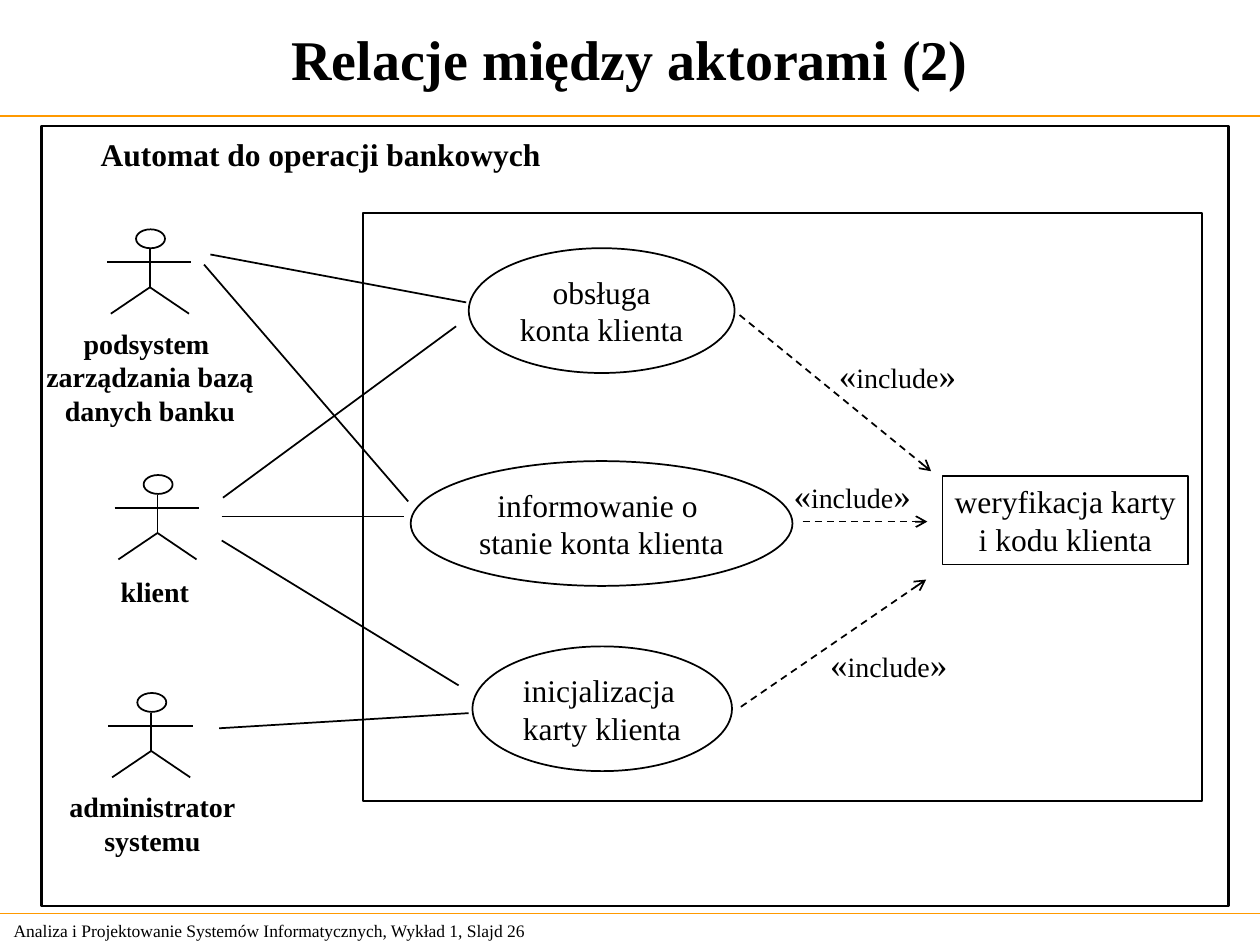
"""Build the use case slide about relations between actors."""
from typing import NamedTuple

from lxml.etree import SubElement
from pptx import Presentation
from pptx.dml.color import RGBColor
from pptx.enum.dml import MSO_LINE
from pptx.enum.shapes import MSO_CONNECTOR, MSO_SHAPE
from pptx.enum.text import MSO_ANCHOR, MSO_AUTO_SIZE, PP_ALIGN
from pptx.oxml.ns import qn
from pptx.util import Inches, Pt

FONT = "Times New Roman"
BLACK = "000000"
ORANGE = "FF9900"


class Area(NamedTuple):
    left: float
    top: float
    width: float
    height: float


class Line(NamedTuple):
    x1: float
    y1: float
    x2: float
    y2: float


class Label(NamedTuple):
    area: Area
    lines: list[str]
    size: float
    bold: bool = False
    align: PP_ALIGN = PP_ALIGN.CENTER


class Node(NamedTuple):
    preset: MSO_SHAPE
    label: Label


class Actor(NamedTuple):
    center: float
    top: float
    label: Label


FRAME = Area(0.33, 1, 9.42, 6.19)
SYSTEM = Area(2.88, 1.69, 6.66, 4.67)
HEADING = Label(Area(0.7, 1.02, 3.69, 0.4), ["Automat do operacji bankowych"],
                18, True, PP_ALIGN.LEFT)
FOOTER = Label(Area(0.01, 7.25, 4.75, 0.27),
               ["Analiza i Projektowanie Systemów Informatycznych, Wykład 1, Slajd 26"],
               10, False, PP_ALIGN.LEFT)
ACTORS = [
    Actor(1.19, 1.82, Label(Area(0.27, 2.54, 1.84, 0.9),
                            ["podsystem ", "zarządzania bazą", "danych banku"], 16, True)),
    Actor(1.25, 3.77, Label(Area(0.86, 4.51, 0.74, 0.36), ["klient"], 16, True, PP_ALIGN.LEFT)),
    Actor(1.2, 5.5, Label(Area(0.45, 6.22, 1.52, 0.63), ["administrator", "systemu"], 16, True)),
]
NODES = [
    Node(MSO_SHAPE.OVAL, Label(Area(3.72, 1.97, 2.11, 0.99), ["obsługa", "konta klienta"], 18)),
    Node(MSO_SHAPE.OVAL, Label(Area(3.26, 3.66, 3.03, 0.99),
                               ["informowanie o ", "stanie konta klienta"], 18)),
    Node(MSO_SHAPE.OVAL, Label(Area(3.75, 5.13, 2.06, 0.99),
                               ["inicjalizacja", "karty klienta"], 18, False, PP_ALIGN.LEFT)),
    Node(MSO_SHAPE.RECTANGLE, Label(Area(7.48, 3.78, 1.95, 0.7),
                                    ["weryfikacja karty", "i kodu klienta"], 18)),
]
ASSOCIATIONS = [
    Line(1.67, 2.02, 3.7, 2.4),
    Line(1.62, 2.1, 3.24, 3.98),
    Line(1.74, 5.78, 3.72, 5.66),
    Line(1.76, 4.1, 3.21, 4.1),
    Line(1.77, 3.95, 3.62, 2.59),
    Line(1.76, 4.29, 3.64, 5.44),
]
INCLUDES = [
    (Line(5.87, 2.5, 7.39, 3.74), Area(6.56, 2.76, 1.13, 0.44)),
    (Line(6.37, 4.14, 7.36, 4.14), Area(6.2, 3.71, 1.13, 0.44)),
    (Line(5.88, 5.61, 7.35, 4.6), Area(6.49, 5.05, 1.13, 0.44)),
]


def color(value: str) -> RGBColor:
    """Turn a hex string into a colour."""
    return RGBColor.from_string(value)


def inches(values: tuple) -> list:
    """Turn numbers into lengths."""
    return [Inches(value) for value in values]


def style_font(font, size: float, bold: bool = False) -> None:
    """Set the common typeface with a size and weight."""
    font.name = FONT
    font.size = Pt(size)
    font.bold = bold
    font.color.rgb = color(BLACK)


def write(frame, label: Label) -> None:
    """Write the lines of a label, giving centred text narrow side margins."""
    frame.word_wrap = False
    frame.auto_size = MSO_AUTO_SIZE.SHAPE_TO_FIT_TEXT
    frame.vertical_anchor = MSO_ANCHOR.TOP
    if label.align == PP_ALIGN.CENTER:
        frame.margin_left = frame.margin_right = Inches(0.05)
    for index, text in enumerate(label.lines):
        paragraph = frame.paragraphs[0] if index == 0 else frame.add_paragraph()
        paragraph.text = text
        paragraph.alignment = label.align
        style_font(paragraph.font, label.size, label.bold)


def add_label(page, label: Label):
    """Add a text box holding a label."""
    box = page.shapes.add_textbox(*inches(label.area))
    write(box.text_frame, label)
    return box


def add_outline(shapes, preset: MSO_SHAPE, area: Area, width: float = 1):
    """Add an unfilled shape with a black outline."""
    shape = shapes.add_shape(preset, *inches(area))
    shape.shadow.inherit = False
    shape.fill.background()
    shape.line.color.rgb = color(BLACK)
    shape.line.width = Pt(width)
    return shape


def add_line(shapes, line: Line, stroke: str = BLACK, width: float = 1):
    """Add a straight line without a shadow."""
    connector = shapes.add_connector(MSO_CONNECTOR.STRAIGHT, *inches(line))
    connector.line.color.rgb = color(stroke)
    connector.line.width = Pt(width)
    SubElement(connector._element.spPr, qn("a:effectLst"))
    return connector


def add_include(page, line: Line, area: Area) -> None:
    """Add a dashed arrow and its include stereotype."""
    arrow = add_line(page.shapes, line)
    arrow.line.dash_style = MSO_LINE.DASH
    SubElement(arrow.line._get_or_add_ln(), qn("a:tailEnd"), type="arrow")
    box = page.shapes.add_textbox(*inches(area))
    box.text_frame.word_wrap = False
    box.text_frame.auto_size = MSO_AUTO_SIZE.SHAPE_TO_FIT_TEXT
    for text, size in (("«", 20), ("include", 16), ("»", 20)):
        span = box.text_frame.paragraphs[0].add_run()
        span.text = text
        style_font(span.font, size)


def add_actor(page, actor: Actor) -> None:
    """Add a grouped stick figure and its name."""
    x, top = actor.center, actor.top
    neck, arms, hips, feet = (top + step for step in (0.16, 0.26, 0.46, 0.67))
    figure = page.shapes.add_group_shape()
    add_outline(figure.shapes, MSO_SHAPE.OVAL, Area(x - 0.11, top, 0.23, 0.15))
    for limb in (Line(x, neck, x, hips), Line(x - 0.34, arms, x + 0.33, arms),
                 Line(x, hips, x + 0.31, feet), Line(x, hips, x - 0.31, feet)):
        add_line(figure.shapes, limb)
    add_label(page, actor.label)


def add_title(page, text: str) -> None:
    """Place and format the title placeholder."""
    title = page.shapes.title
    title.left, title.top, title.width, title.height = inches((0, 0, 10, 0.92))
    title.text_frame.text = text
    title.text_frame.vertical_anchor = MSO_ANCHOR.MIDDLE
    paragraph = title.text_frame.paragraphs[0]
    paragraph.alignment = PP_ALIGN.CENTER
    style_font(paragraph.font, 32, True)


def main() -> None:
    """Build and save the deck."""
    deck = Presentation()
    deck.slide_width, deck.slide_height = Inches(10), Inches(7.5)
    page = deck.slides.add_slide(deck.slide_layouts[5])
    add_title(page, "Relacje między aktorami (2)")
    add_label(page, FOOTER).text_frame.vertical_anchor = MSO_ANCHOR.MIDDLE
    for y in (0.92, 7.25):
        add_line(page.shapes, Line(0, y, 10, y), ORANGE, 0.75)
    add_outline(page.shapes, MSO_SHAPE.RECTANGLE, FRAME, 1.5)
    add_outline(page.shapes, MSO_SHAPE.RECTANGLE, SYSTEM)
    add_label(page, HEADING)
    for node in NODES:
        shape = add_outline(page.shapes, node.preset, node.label.area)
        write(shape.text_frame, node.label)
    for line in ASSOCIATIONS:
        add_line(page.shapes, line)
    for line, area in INCLUDES:
        add_include(page, line, area)
    for actor in ACTORS:
        add_actor(page, actor)
    deck.save("out.pptx")


if __name__ == "__main__":
    main()
